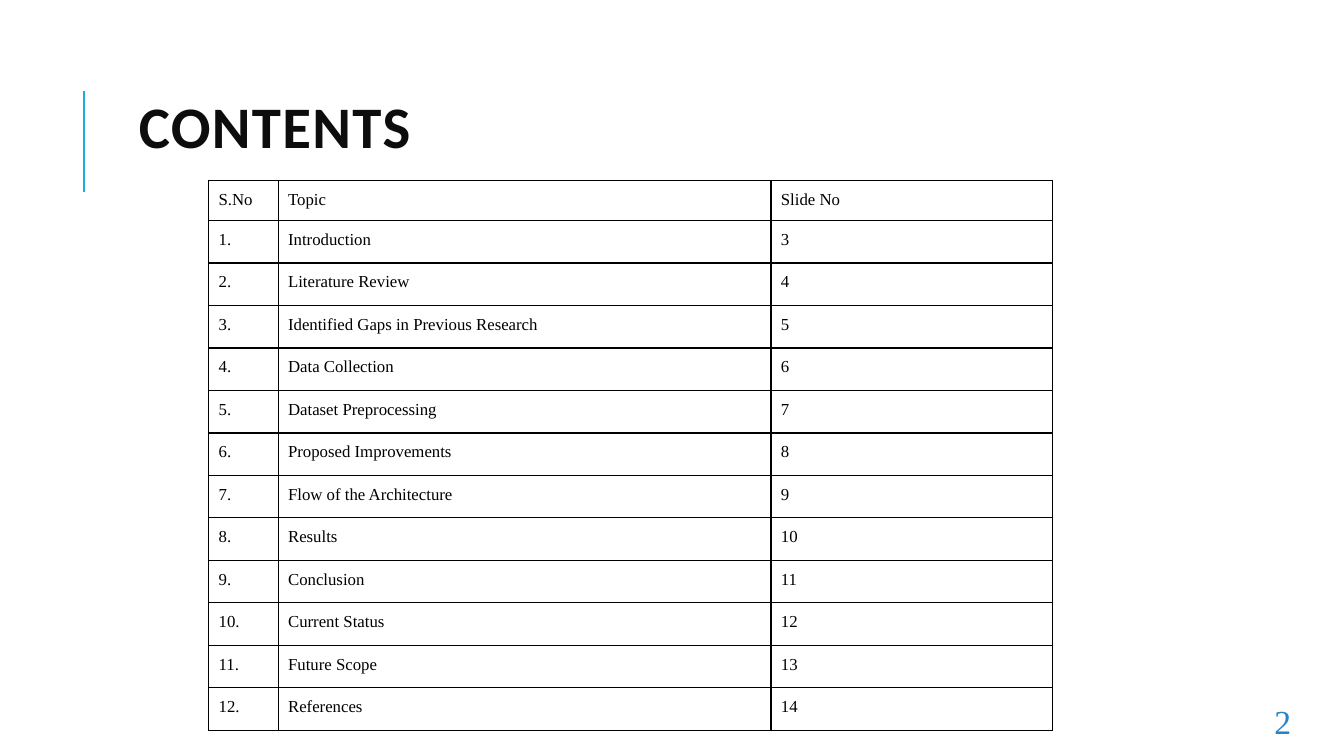
import pptx
import pptx.dml.color
import pptx.enum.shapes
import pptx.enum.text
import pptx.oxml
import pptx.oxml.ns
import pptx.util
from pptx.util import Cm

TOPICS = [
    "Introduction", "Literature Review", "Identified Gaps in Previous Research",
    "Data Collection", "Dataset Preprocessing", "Proposed Improvements",
    "Flow of the Architecture", "Results", "Conclusion", "Current Status",
    "Future Scope", "References",
]
FIRST_TOPIC_SLIDE = 3
COLUMN_WIDTHS = [1.75, 12.42, 7.09]
HEADER_HEIGHT = 0.99
SERIF = "Times New Roman"
NAMESPACE = pptx.oxml.ns.nsdecls("a")


def color(value):
    return pptx.dml.color.RGBColor.from_string(value)


def set_text(frame, text, size, font_name, font_color, bold=False):
    paragraph = frame.paragraphs[0]
    paragraph.add_run().text = text
    paragraph.font.size = pptx.util.Pt(size)
    paragraph.font.name = font_name
    paragraph.font.bold = bold
    paragraph.font.color.rgb = color(font_color)
    return paragraph


def add_text_box(slide, left, top, width, height, anchor):
    frame = slide.shapes.add_textbox(Cm(left), Cm(top), Cm(width), Cm(height)).text_frame
    frame.word_wrap = True
    frame.vertical_anchor = anchor
    return frame


def add_title(slide, left, top, width, height):
    # Accent line to the left of the title
    line_left, line_top = left - 1.14, top + 1.91
    line = slide.shapes.add_connector(
        pptx.enum.shapes.MSO_CONNECTOR.STRAIGHT,
        Cm(line_left), Cm(line_top + 2.54), Cm(line_left), Cm(line_top))
    line.line.color.rgb = color("1CADE4")
    line.line.width = pptx.util.Pt(1.5)
    line._element.spPr.append(pptx.oxml.parse_xml(f"<a:effectLst {NAMESPACE}/>"))

    # Title text with wide letter spacing
    frame = add_text_box(slide, left, top, width, height, pptx.enum.text.MSO_ANCHOR.BOTTOM)
    paragraph = set_text(frame, "CONTENTS", 42, "Calibri", "0D0D0D", bold=True)
    paragraph.line_spacing = 0.8
    paragraph.runs[0]._r.get_or_add_rPr().set("spc", "100")


def add_page_number(slide, left, top, width, height):
    frame = add_text_box(slide, left, top, width, height, pptx.enum.text.MSO_ANCHOR.MIDDLE)
    paragraph = set_text(frame, "2", 24, SERIF, "2683C6")
    paragraph.alignment = pptx.enum.text.PP_ALIGN.RIGHT


def format_cell(cell, text):
    cell.margin_left = cell.margin_right = Cm(0.25)
    cell.margin_top = cell.margin_bottom = Cm(0.25)
    set_text(cell.text_frame, text, 12, SERIF, "000000")
    properties = cell._tc.get_or_add_tcPr()
    for side in ("lnL", "lnR", "lnT", "lnB"):
        properties.append(pptx.oxml.parse_xml(
            f'<a:{side} {NAMESPACE} w="12700"><a:solidFill>'
            f'<a:srgbClr val="000000"/></a:solidFill></a:{side}>'))
    cell.fill.background()


def add_contents_table(slide, left, top, width, height):
    rows = [("S.No", "Topic", "Slide No")]
    for index, topic in enumerate(TOPICS):
        rows.append((f"{index + 1}.", topic, str(FIRST_TOPIC_SLIDE + index)))
    table = slide.shapes.add_table(
        len(rows), len(COLUMN_WIDTHS), Cm(left), Cm(top), Cm(width), Cm(height)).table
    table.first_row = table.horz_banding = False

    for column, column_width in zip(table.columns, COLUMN_WIDTHS):
        column.width = Cm(column_width)
    topic_height = (height - HEADER_HEIGHT) / len(TOPICS)
    for row_index, texts in enumerate(rows):
        table.rows[row_index].height = Cm(topic_height if row_index else HEADER_HEIGHT)
        for column_index, text in enumerate(texts):
            format_cell(table.cell(row_index, column_index), text)


def main():
    presentation = pptx.Presentation()
    presentation.slide_width = Cm(33.87)
    presentation.slide_height = Cm(19.05)
    slide = presentation.slides.add_slide(presentation.slide_layouts[6])
    add_title(slide, 3.25, 0.38, 26.67, 3.78)
    add_page_number(slide, 28.19, 17.65, 4.6, 1.02)
    add_contents_table(slide, 5.26, 4.55, sum(COLUMN_WIDTHS), 13.84)
    presentation.save("out.pptx")


if __name__ == "__main__":
    main()
